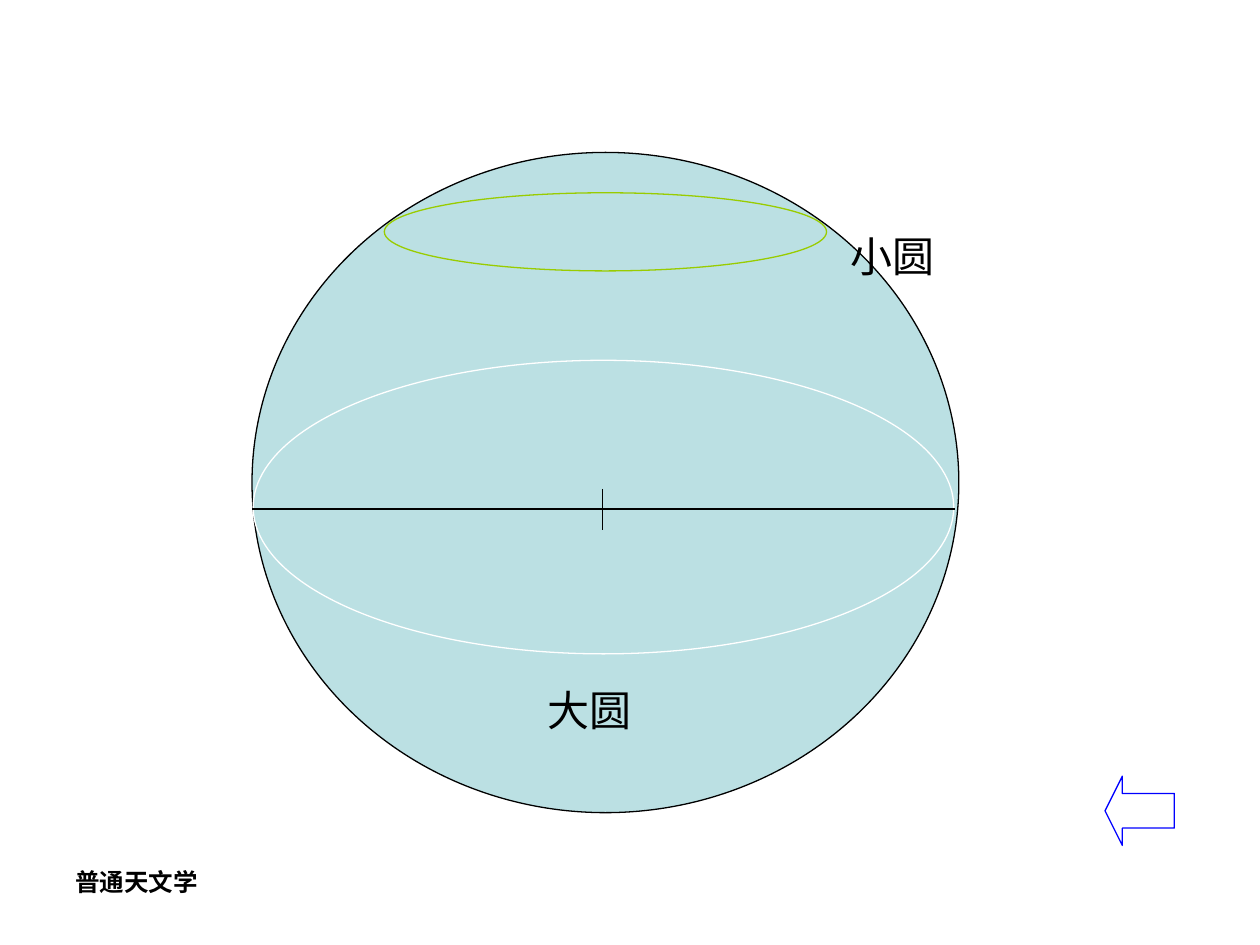
from typing import NamedTuple, Optional

from lxml.etree import SubElement
from pptx import Presentation
from pptx.dml.color import RGBColor
from pptx.enum.shapes import MSO_CONNECTOR as Link, MSO_SHAPE as Kind
from pptx.enum.text import MSO_ANCHOR as Anchor, MSO_AUTO_SIZE as Fit
from pptx.oxml.ns import qn
from pptx.util import Inches, Pt

# Grid of 100 columns by 75 rows over the slide
COLS, ROWS = 100, 75
deck = Presentation()
deck.slide_width, deck.slide_height = Inches(10), Inches(7.5)
slide = deck.slides.add_slide(deck.slide_layouts[6])


class Box(NamedTuple):
    x: float
    y: float
    w: float
    h: float


class Form(NamedTuple):
    kind: Kind
    box: Box
    edge: str
    fill: Optional[str] = None
    width: float = 0.75
    adjust: tuple = ()


class Label(NamedTuple):
    text: str
    box: Box
    font: str = "Times New Roman"
    size: int = 24
    bold: bool = False
    grow: bool = True


def color(code: str) -> RGBColor:
    return RGBColor.from_string(code)


def place(box: Box) -> tuple:
    col, row = deck.slide_width / COLS, deck.slide_height / ROWS
    return tuple(round(n * step) for n, step in zip(box, (col, row, col, row)))


def draw(form: Form) -> None:
    shape = slide.shapes.add_shape(form.kind, *place(form.box))
    shape.shadow.inherit = False
    if form.fill:
        shape.fill.solid()
        shape.fill.fore_color.rgb = color(form.fill)
    else:
        shape.fill.background()
    shape.line.color.rgb = color(form.edge)
    shape.line.width = Pt(form.width)
    for i, share in enumerate(form.adjust):
        shape.adjustments[i] = share


def rule(box: Box) -> None:
    x, y, w, h = place(box)
    line = slide.shapes.add_connector(Link.STRAIGHT, x, y, x + w, y + h)
    line.line.color.rgb = color("000000")
    line.line.width = Pt(0.75)
    SubElement(line._element.spPr, qn("a:effectLst"))


def write(label: Label) -> None:
    frame = slide.shapes.add_textbox(*place(label.box)).text_frame
    frame.word_wrap = True
    frame.auto_size = Fit.SHAPE_TO_FIT_TEXT if label.grow else Fit.NONE
    frame.vertical_anchor = Anchor.TOP
    run = frame.paragraphs[0].add_run()
    run.text = label.text
    run.font.name, run.font.size = label.font, Pt(label.size)
    run.font.bold = label.bold
    run.font.color.rgb = color("000000")


# Course name
write(Label("普通天文学", Box(5, 68.3, 23.3, 5.2), "Arial", 14, True, False))

# Sphere, great circle, small circle
for box, edge in (
    (Box(20, 12.1, 56.1, 52.4), "000000"),
    (Box(20.1, 28.6, 55.6, 23.3), "FFFFFF"),
    (Box(30.5, 15.3, 35.1, 6.2), "99CC00"),
):
    draw(Form(Kind.OVAL, box, edge, "BBE0E3"))

# Diameter and centre mark
rule(Box(20, 40.4, 55.8, 0))
rule(Box(47.8, 38.8, 0, 3.3))

# Circle names
write(Label("大圆", Box(42.5, 53.8, 31.7, 5)))
write(Label("小圆", Box(66.5, 17.8, 10.8, 5)))

# Back arrow
draw(Form(Kind.LEFT_ARROW, Box(87.7, 61.6, 5.5, 5.5), "0000FF",
          width=0, adjust=(0.5, 0.25)))

deck.save("out.pptx")
